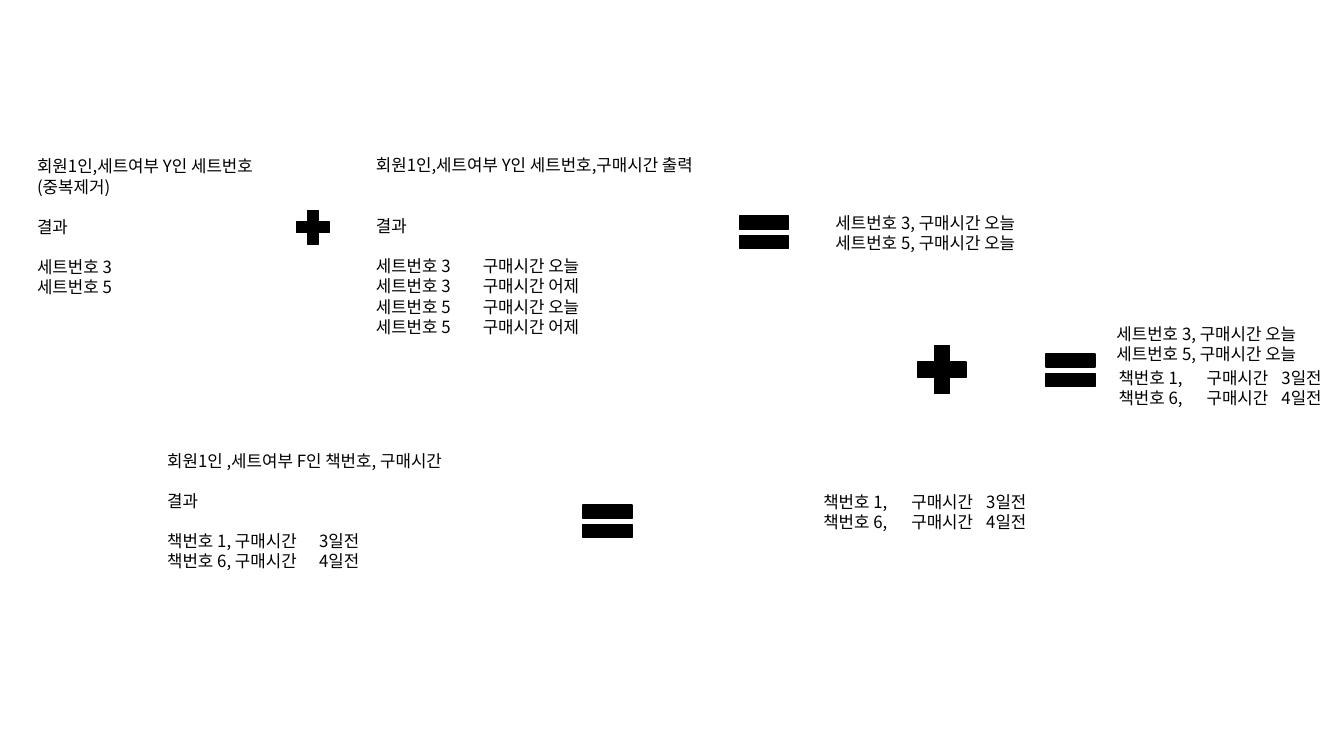
from lxml.etree import SubElement
from pptx import Presentation
from pptx.dml.color import RGBColor
from pptx.enum.shapes import MSO_SHAPE
from pptx.oxml.ns import qn
from pptx.util import Pt

COLORS = {"ink": "000000"}
FONT = "Noto Sans CJK KR"
SIZE, LEAD = 12, 14.4
INK = RGBColor.from_string(COLORS["ink"])

# Text lines: (empty lines above, text)
SETS = [(0, f"세트번호 {n}, 구매시간 오늘") for n in (3, 5)]
PAIRS = [(1, 3), (6, 4)]
BOOKS = [(0, f"책번호 {n},\t구매시간\t{d}일전") for n, d in PAIRS]


def set_tabs(para, stops):
    props = para._p.get_or_add_pPr()
    run = props.find(qn("a:defRPr"))
    SubElement(run, qn("a:ea"), typeface=FONT)
    if stops:
        tabs = SubElement(props, qn("a:tabLst"))
        for stop in stops:
            SubElement(tabs, qn("a:tab"), pos=str(int(Pt(stop))), algn="l")
        run.addprevious(tabs)


def add_text(slide, left, top, width, lines, stops=()):
    height = LEAD * (1 + sum(gap + 1 for gap, _ in lines))
    frame = slide.shapes.add_textbox(
        Pt(left), Pt(top), Pt(width), Pt(height)).text_frame
    frame.word_wrap = True
    for i, (gap, text) in enumerate(lines):
        para = frame.add_paragraph() if i else frame.paragraphs[0]
        para.text = text
        para.line_spacing = Pt(LEAD)
        para.space_before = Pt(gap * LEAD)
        para.font.size = Pt(SIZE)
        para.font.name = FONT
        para.font.color.rgb = INK
        set_tabs(para, stops)


def add_sign(slide, kind, left, top, width, height):
    sign = slide.shapes.add_shape(
        kind, Pt(left), Pt(top), Pt(width), Pt(height))
    sign.shadow.inherit = False
    sign.fill.solid()
    sign.fill.fore_color.rgb = INK
    sign.line.color.rgb = INK
    sign.line.width = Pt(1)


def add_plus(slide, left, top, size):
    add_sign(slide, MSO_SHAPE.MATH_PLUS, left, top, size, size)


def add_equal(slide, left, top):
    add_sign(slide, MSO_SHAPE.MATH_EQUAL, left, top, 47.5, 39.6)


def set_row(slide, left, top):
    """Set numbers + purchase times = latest time of each set."""
    add_text(slide, left, top + 0.7, 180, [
        (0, "회원1인,세트여부 Y인 세트번호"), (0, "(중복제거)"),
        (1, "결과"), (1, "세트번호 3"), (0, "세트번호 5")])
    add_plus(slide, left + 188, top + 38.9, 32.4)
    times = [(0, f"세트번호 {n}\t구매시간 {day}")
             for n in (3, 5) for day in ("오늘", "어제")]
    times[0] = (1, times[0][1])
    add_text(slide, left + 242, top, 280, [
        (0, "회원1인,세트여부 Y인 세트번호,구매시간 출력"),
        (2, "결과"), *times], [76.4])
    add_equal(slide, left + 502.6, top + 38.9)
    add_text(slide, left + 570.3, top + 41, 166, SETS)


def book_row(slide, left, top):
    """Books outside a set = their purchase times."""
    found = [(1 - i, f"책번호 {n}, 구매시간\t{d}일전")
             for i, (n, d) in enumerate(PAIRS)]
    add_text(slide, left, top, 268.6, [
        (0, "회원1인 ,세트여부 F인 책번호, 구매시간"),
        (1, "결과"), *found], [108.6])
    add_equal(slide, left + 298, top + 34.5)
    add_text(slide, left + 468.7, top + 29.5, 184, BOOKS, [62.9, 116.4])


def total(slide, left, top):
    """Both rows joined."""
    add_plus(slide, left, top + 13, 47)
    add_equal(slide, left + 91.5, top + 17.3)
    add_text(slide, left + 141, top, 169, SETS)
    add_text(slide, left + 142.5, top + 31.7, 168, BOOKS, [62.9, 116.4])


deck = Presentation()
deck.slide_width, deck.slide_height = Pt(960), Pt(540)
page = deck.slides.add_slide(deck.slide_layouts[6])
set_row(page, 19.4, 107.3)
book_row(page, 112.3, 318.2)
total(page, 649.4, 227.5)
deck.save("out.pptx")
